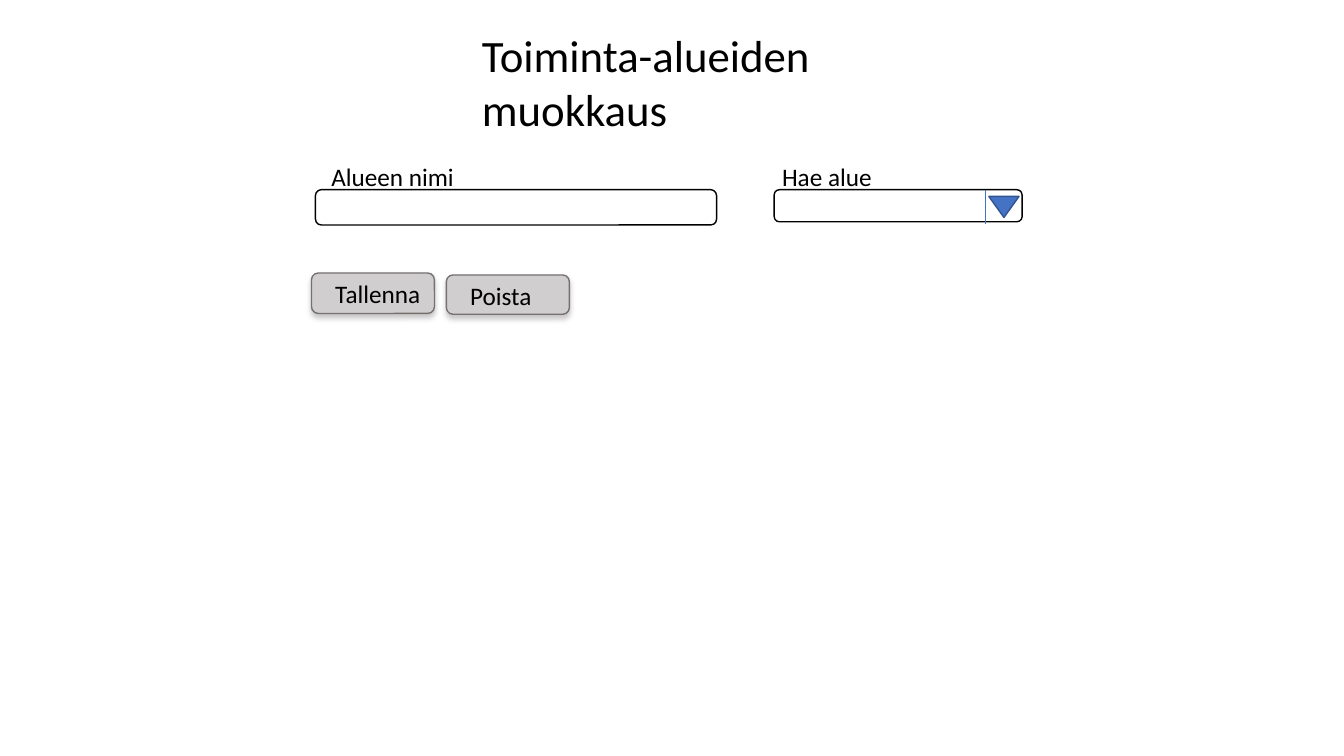
from lxml import etree
from pptx import Presentation
from pptx.dml.color import RGBColor
from pptx.enum.shapes import MSO_CONNECTOR, MSO_SHAPE
from pptx.enum.text import MSO_ANCHOR, MSO_AUTO_SIZE, PP_ALIGN
from pptx.oxml import parse_xml
from pptx.oxml.ns import nsdecls, qn
from pptx.util import Cm, Pt

BLACK = RGBColor(0x00, 0x00, 0x00)
BUTTON_GREY = RGBColor(0xD0, 0xCE, 0xCE)
EDGE_GREY = RGBColor(0x76, 0x71, 0x71)
BLUE = RGBColor(0x44, 0x72, 0xC4)
DARK_BLUE = RGBColor(0x32, 0x54, 0x91)
FONT = "Calibri"

# Lengths in centimetres
TITLE = ("Toiminta-alueiden muokkaus", (11.89, 0.58, 9.58, 3))
FIELDS = [  # label, label left, field box
    ("Alueen nimi", 8.1, (7.95, 4.78, 10.11, 0.89)),
    ("Hae alue", 19.46, (19.51, 4.78, 6.25, 0.81)),
]
LABEL_TOP, LABEL_WIDTH, LABEL_HEIGHT = 3.94, 6.25, 1.02
BUTTONS = [
    ("Tallenna", (7.85, 6.88, 3.1, 1.02)),
    ("Poista", (11.25, 6.93, 3.1, 0.99)),
]
BUTTON_INDENT = 0.55
ARROW = (24.92, 4.95, 0.76, 0.53)
DIVIDER = (24.84, 4.8, 24.84, 5.64)


def cm(lengths):
    return [Cm(length) for length in lengths]


def write(shape, text, size):
    frame = shape.text_frame
    frame.text = text
    frame.word_wrap = True
    frame.auto_size = MSO_AUTO_SIZE.NONE
    frame.vertical_anchor = MSO_ANCHOR.TOP
    para = frame.paragraphs[0]
    para.alignment = PP_ALIGN.LEFT
    font = para.runs[0].font
    font.name, font.size = FONT, Pt(size)
    font.color.rgb = BLACK


def add_outlined(page, kind, box, line, fill=None):
    shape = page.shapes.add_shape(kind, *cm(box))
    shape.shadow.inherit = False
    if fill is None:
        shape.fill.background()
    else:
        shape.fill.solid()
        shape.fill.fore_color.rgb = fill
    shape.line.color.rgb = line
    shape.line.width = Pt(1)
    return shape


def add_button(page, text, box):
    button = add_outlined(page, MSO_SHAPE.ROUNDED_RECTANGLE, box, EDGE_GREY, BUTTON_GREY)
    effects = button._element.spPr.find(qn("a:effectLst"))
    effects.append(parse_xml(
        f'<a:outerShdw {nsdecls("a")} blurRad="{Pt(4)}" dist="{Pt(3)}" dir="5400000" '
        f'algn="t" rotWithShape="0"><a:srgbClr val="{EDGE_GREY}">'
        '<a:alpha val="40000"/></a:srgbClr></a:outerShdw>'))
    write(button, text, 18)
    button.text_frame.margin_left = Cm(BUTTON_INDENT)
    button.text_frame.margin_right = 0
    button.text_frame.margin_top = Cm(0.08)


def add_drop_down_mark(page):
    arrow = add_outlined(page, MSO_SHAPE.ISOSCELES_TRIANGLE, ARROW, DARK_BLUE, BLUE)
    arrow.rotation = 180
    divider = page.shapes.add_connector(MSO_CONNECTOR.STRAIGHT, *cm(DIVIDER))
    divider.line.color.rgb = BLUE
    divider.line.width = Pt(0.5)
    etree.SubElement(divider._element.spPr, qn("a:effectLst"))


def main():
    deck = Presentation()
    deck.slide_width, deck.slide_height = Cm(33.87), Cm(19.05)
    page = deck.slides.add_slide(deck.slide_layouts[5])

    text, box = TITLE
    title = page.shapes.title
    title.left, title.top, title.width, title.height = cm(box)
    write(title, text, 32)

    for label, left, box in FIELDS:
        add_outlined(page, MSO_SHAPE.ROUNDED_RECTANGLE, box, BLACK)
        label_box = (left, LABEL_TOP, LABEL_WIDTH, LABEL_HEIGHT)
        write(page.shapes.add_textbox(*cm(label_box)), label, 18)
    for text, box in BUTTONS:
        add_button(page, text, box)
    add_drop_down_mark(page)

    deck.save("out.pptx")


if __name__ == "__main__":
    main()
